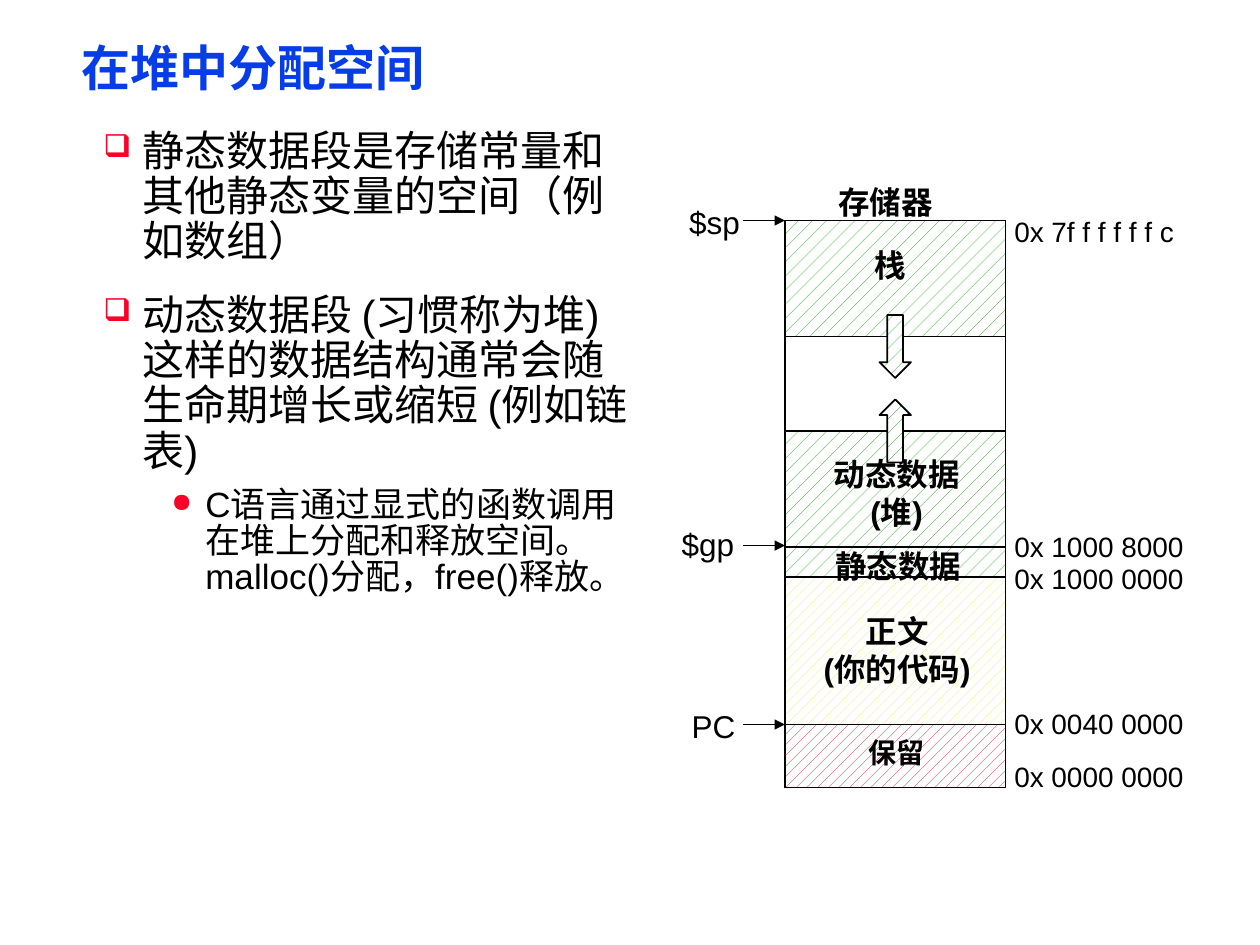
from dataclasses import dataclass

from lxml import etree
from pptx import Presentation
from pptx.dml.color import RGBColor
from pptx.enum.dml import MSO_PATTERN
from pptx.enum.shapes import MSO_CONNECTOR, MSO_SHAPE
from pptx.enum.text import MSO_AUTO_SIZE, PP_ALIGN
from pptx.oxml.ns import qn
from pptx.util import Inches, Pt

SPARSE, DENSE = MSO_PATTERN.PERCENT_10, MSO_PATTERN.PERCENT_20
RECTANGLE = MSO_SHAPE.RECTANGLE
DOWN, UP = MSO_SHAPE.DOWN_ARROW, MSO_SHAPE.UP_ARROW
LEFT, CENTER = PP_ALIGN.LEFT, PP_ALIGN.CENTER


@dataclass(frozen=True)
class Theme:
    title_font: str = "Noto Sans CJK SC"
    font: str = "Arial"
    ink: str = "000000"
    paper: str = "FFFFFF"
    title: str = "063DE8"
    bullet: str = "FC0128"
    data: str = "009900"
    code: str = "EAEC5E"
    reserved: str = "FC0128"
    title_size: int = 28
    body_size: int = 24
    detail_size: int = 20
    label_size: int = 18
    address_size: int = 16
    line_width: int = 1


THEME = Theme()
MEMORY_LEFT, MEMORY_WIDTH = 6.23, 1.75
MEMORY_TOP, MEMORY_BOTTOM = 1.75, 6.25
POINTER_LEFT = 5.9
ADDRESS_WIDTH = 1.6

# top, height, pattern, colour
SEGMENTS = [
    (5.75, 0.5, DENSE, THEME.reserved),
    (4.58, 1.17, DENSE, THEME.code),
    (4.33, 0.25, SPARSE, THEME.data),
    (1.75, 0.92, SPARSE, THEME.data),
    (3.42, 0.92, SPARSE, THEME.data),
]
# lines, box, size, wrap
SEGMENT_LABELS = [
    (["存储器"], (6.51, 1.42, 1.04, 0.36), THEME.label_size, False),
    (["栈"], (6.73, 1.92, 0.67, 0.36), THEME.label_size, False),
    (["动态数据", "(堆)"], (6.54, 3.58, 1.15, 0.66), THEME.label_size, False),
    (["静态数据"], (6.45, 4.31, 1.36, 0.36), THEME.label_size, False),
    (["正文", "(你的代码)"], (6.46, 4.83, 1.32, 0.66), THEME.label_size, True),
    (["保留"], (6.82, 5.81, 0.59, 0.33), THEME.address_size, False),
]
ADDRESSES = [
    ("0x 7f f f f f f c", 1.67),
    ("0x 1000 8000", 4.17),
    ("0x 1000 0000", 4.43),
    ("0x 0040 0000", 5.58),
    ("0x 0000 0000", 6),
]
# name, box, height of the arrow
POINTERS = [
    ("$sp", (5.4, 1.58, 0.61, 0.36), 1.75),
    ("$gp", (5.34, 4.14, 0.62, 0.36), 4.33),
    ("PC", (5.42, 5.58, 0.56, 0.36), 5.75),
]
# text, size, left margin, hanging indent, line spacing, space before, bullet
BODY = [
    ("静态数据段是存储常量和其他静态变量的空间（例如数组）",
     THEME.body_size, 0.31, 0.31, 0.9, 0, "❑"),
    ("动态数据段 (习惯称为堆)这样的数据结构通常会随生命期增长或缩短 (例如链表)",
     THEME.body_size, 0.31, 0.31, 0.9, 16, "❑"),
    ("C语言通过显式的函数调用在堆上分配和释放空间。malloc()分配，free()释放。",
     THEME.detail_size, 0.81, 0.27, 0.85, 8, "●"),
]


def inches(values):
    return [Inches(value) for value in values]


def add_box(slide, place, wrap):
    frame = slide.shapes.add_textbox(*inches(place)).text_frame
    frame.margin_left = frame.margin_right = Inches(0.07)
    frame.margin_top = frame.margin_bottom = Inches(0.03)
    frame.word_wrap = wrap
    frame.auto_size = MSO_AUTO_SIZE.SHAPE_TO_FIT_TEXT
    return frame


def next_paragraph(frame, index):
    return frame.add_paragraph() if index else frame.paragraphs[0]


def add_span(para, text, size, color=THEME.ink, bold=False, font=THEME.font):
    span = para.add_run()
    span.text = text
    span.font.name = font
    span.font.size = Pt(size)
    span.font.bold = bold
    span.font.color.rgb = RGBColor.from_string(color)


def add_label(slide, lines, place, size, bold=False, align=LEFT, wrap=False):
    frame = add_box(slide, place, wrap)
    for index, line in enumerate(lines):
        para = next_paragraph(frame, index)
        para.alignment = align
        add_span(para, line, size, bold=bold)


def set_bullet(para, mark, margin, hanging):
    """Give a coloured bullet, and keep closing punctuation inside the box."""
    props = para._p.get_or_add_pPr()
    props.set("marL", str(Inches(margin)))
    props.set("indent", str(-Inches(hanging)))
    props.set("hangingPunct", "0")
    color = etree.SubElement(props, qn("a:buClr"))
    etree.SubElement(color, qn("a:srgbClr"), val=THEME.bullet)
    etree.SubElement(props, qn("a:buSzPct"), val="75000")
    etree.SubElement(props, qn("a:buChar"), char=mark)


def add_title(slide):
    para = add_box(slide, (0.58, 0.33, 8.92, 0.46), True).paragraphs[0]
    para.line_spacing = 0.87
    add_span(para, "在堆中分配空间", THEME.title_size, THEME.title, True, THEME.title_font)


def add_body(slide):
    frame = add_box(slide, (0.75, 1, 4.33, 3.86), True)
    for index, (text, size, margin, hanging, spacing, before, mark) in enumerate(BODY):
        para = next_paragraph(frame, index)
        set_bullet(para, mark, margin, hanging)
        para.line_spacing = spacing
        para.space_before = Pt(before)
        add_span(para, text, size)


def add_block(slide, kind, place, pattern=None, color=None):
    """Add an outlined shape, hatched when a pattern is given."""
    shape = slide.shapes.add_shape(kind, *inches(place))
    shape.shadow.inherit = False
    if pattern is None:
        shape.fill.background()
    else:
        shape.fill.patterned()
        shape.fill.pattern = pattern
        shape.fill.fore_color.rgb = RGBColor.from_string(color)
        shape.fill.back_color.rgb = RGBColor.from_string(THEME.paper)
    shape.line.color.rgb = RGBColor.from_string(THEME.ink)
    shape.line.width = Pt(THEME.line_width)


def add_pointer(slide, y):
    ends = inches((POINTER_LEFT, y, MEMORY_LEFT, y))
    arrow = slide.shapes.add_connector(MSO_CONNECTOR.STRAIGHT, *ends)
    arrow.line.color.rgb = RGBColor.from_string(THEME.ink)
    arrow.line.width = Pt(THEME.line_width)
    etree.SubElement(arrow.line._get_or_add_ln(), qn("a:tailEnd"), type="triangle")
    etree.SubElement(arrow._element.spPr, qn("a:effectLst"))


def add_memory(slide):
    add_block(slide, RECTANGLE, (MEMORY_LEFT, MEMORY_TOP, MEMORY_WIDTH, MEMORY_BOTTOM - MEMORY_TOP))
    for top, height, pattern, color in SEGMENTS:
        add_block(slide, RECTANGLE, (MEMORY_LEFT, top, MEMORY_WIDTH, height), pattern, color)
    for lines, place, size, wrap in SEGMENT_LABELS:
        add_label(slide, lines, place, size, True, CENTER, wrap)
    for kind, top in ((DOWN, 2.5), (UP, 3.17)):
        add_block(slide, kind, (6.98, top, 0.25, 0.5), SPARSE, THEME.data)
    for address, top in ADDRESSES:
        place = (MEMORY_LEFT + MEMORY_WIDTH, top, ADDRESS_WIDTH, 0.32)
        add_label(slide, [address], place, THEME.address_size)
    for name, place, y in POINTERS:
        add_label(slide, [name], place, THEME.label_size)
        add_pointer(slide, y)


def main():
    deck = Presentation()
    deck.slide_width, deck.slide_height = Inches(10), Inches(7.5)
    slide = deck.slides.add_slide(deck.slide_layouts[6])
    add_title(slide)
    add_body(slide)
    add_memory(slide)
    deck.save("out.pptx")


if __name__ == "__main__":
    main()
